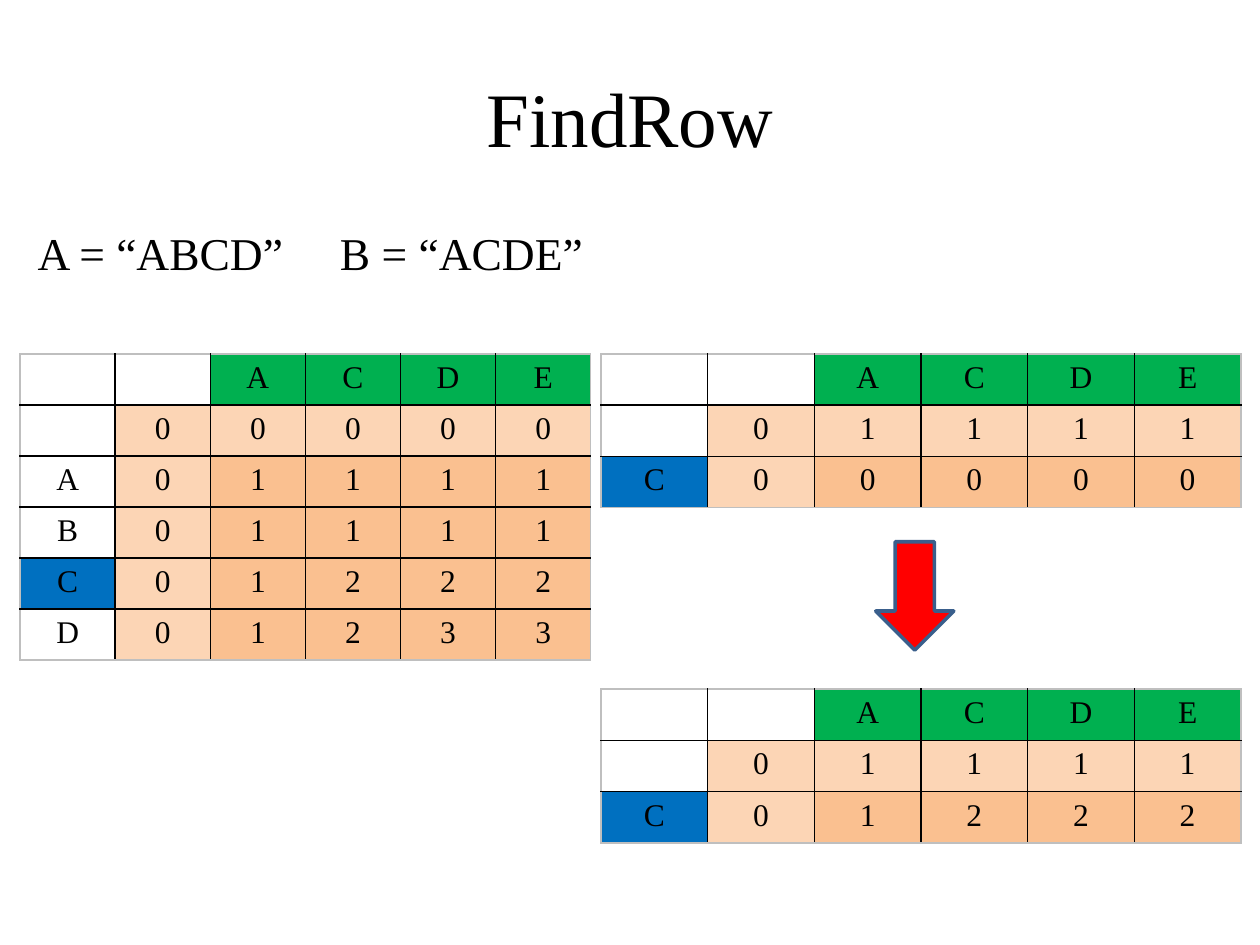
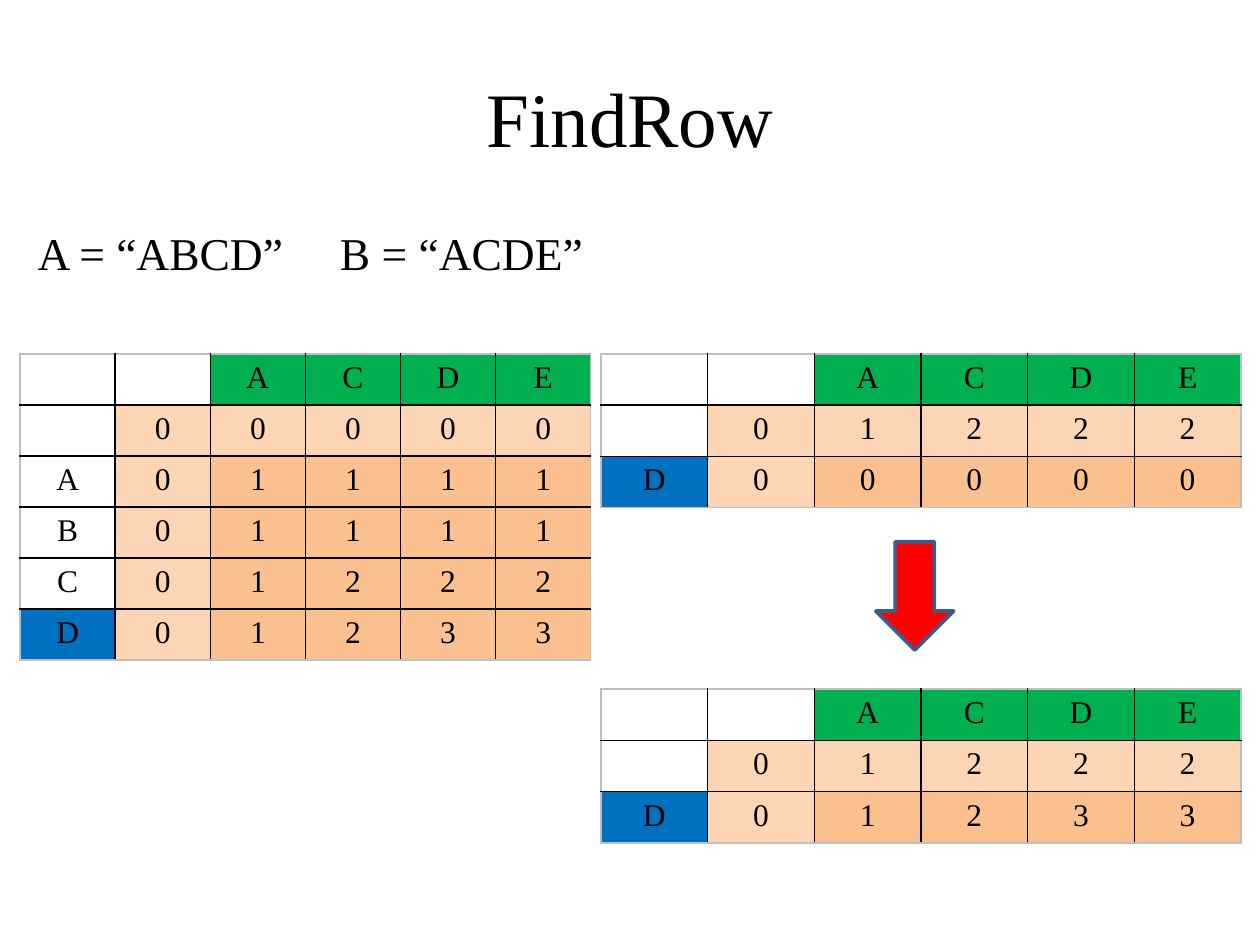
from dataclasses import dataclass

from lxml.etree import SubElement
from pptx import Presentation
from pptx.dml.color import RGBColor
from pptx.enum.shapes import MSO_SHAPE
from pptx.enum.text import MSO_ANCHOR, PP_ALIGN
from pptx.oxml.ns import qn
from pptx.util import Inches, Pt

FONT = "Times New Roman"
COLORS = {
    "text": "000000",
    "grid": "000000",
    "frame": "BFBFBF",
    "header": "00B050",
    "active": "0070C0",
    "base": "FCD5B5",
    "value": "FAC090",
    "arrow": "FF0000",
    "arrow_line": "3A5F8C",
}
WORD_A, WORD_B = "ABCD", "ACDE"


@dataclass
class Box:
    left: float
    top: float
    width: float
    height: float

    def emu(self) -> tuple:
        return tuple(Inches(v) for v in (self.left, self.top, self.width, self.height))


# Places shared by both slides
TITLE = Box(0.5, 0.3, 9, 1.25)
WORDS = Box(0.2, 1.74, 4.57, 0.54)
FULL_TABLE = Box(0.16, 2.81, 4.53, 2.43)
BEFORE_TABLE = Box(4.77, 2.81, 5.08, 1.22)
AFTER_TABLE = Box(4.77, 5.47, 5.08, 1.22)
ARROW = Box(6.95, 4.3, 0.62, 0.86)


def rgb(name: str) -> RGBColor:
    return RGBColor.from_string(COLORS[name])


def write(tf, text: str, *, size: float = 18, align=PP_ALIGN.CENTER, tab: float = 0) -> None:
    """Fill the first paragraph of a text frame."""
    p = tf.paragraphs[0]
    p.alignment = align
    if tab:
        tabs = SubElement(p._p.get_or_add_pPr(), qn("a:tabLst"))
        SubElement(tabs, qn("a:tab"), pos=str(Inches(tab)), algn="l")
    r = p.add_run()
    r.text = text
    r.font.size = Pt(size)
    r.font.name = FONT
    r.font.color.rgb = rgb("text")


def add_text(s, box: Box, text: str, *, anchor=MSO_ANCHOR.TOP, **fmt) -> None:
    tf = s.shapes.add_textbox(*box.emu()).text_frame
    tf.word_wrap = True
    tf.vertical_anchor = anchor
    write(tf, text, **fmt)


def lcs_rows(a: str, b: str) -> list[list[int]]:
    """Lengths of the longest common subsequences of all prefixes."""
    rows = [[0] * (len(b) + 1)]
    for x in a:
        above, row = rows[-1], [0]
        for j, y in enumerate(b):
            row.append(above[j] + 1 if x == y else max(above[j + 1], row[j]))
        rows.append(row)
    return rows


def fill_name(row: int, col: int, label: str, active: str) -> str | None:
    if col == 0:
        return "active" if label == active else None
    if row == 0:
        return "header" if col > 1 else None
    return "base" if row == 1 or col == 1 else "value"


def set_borders(cell, edges: dict[str, bool]) -> None:
    """Draw outer edges in the frame colour and inner edges in the grid colour."""
    tc_pr = cell._tc.get_or_add_tcPr()
    for i, (side, outer) in enumerate(edges.items()):
        ln = tc_pr.makeelement(qn(f"a:ln{side}"), {"w": str(Pt(1))})
        solid = SubElement(ln, qn("a:solidFill"))
        SubElement(solid, qn("a:srgbClr"), val=COLORS["frame" if outer else "grid"])
        tc_pr.insert(i, ln)


def add_grid(s, box: Box, labels: str, rows: list[list[int]], active: str) -> None:
    """Table with WORD_B across the top and one label per row after the base row."""
    lines = [["", "", *WORD_B]]
    lines += [[label, *map(str, row)] for label, row in zip(["", *labels], rows)]
    last_row, last_col = len(lines) - 1, len(lines[0]) - 1
    table = s.shapes.add_table(last_row + 1, last_col + 1, *box.emu()).table
    table.first_row = table.horz_banding = False
    for i, line in enumerate(lines):
        for j, text in enumerate(line):
            cell = table.cell(i, j)
            name = fill_name(i, j, text, active)
            if name:
                cell.fill.solid()
                cell.fill.fore_color.rgb = rgb(name)
            else:
                cell.fill.background()
            if text:
                write(cell.text_frame, text)
            set_borders(cell, {"L": j == 0, "R": j == last_col,
                               "T": i == 0, "B": i == last_row})


def add_arrow(s) -> None:
    sp = s.shapes.add_shape(MSO_SHAPE.DOWN_ARROW, *ARROW.emu())
    sp.shadow.inherit = False
    sp.fill.solid()
    sp.fill.fore_color.rgb = rgb("arrow")
    sp.line.color.rgb = rgb("arrow_line")
    sp.line.width = Pt(2)


def add_find_row_slide(prs, active: str) -> None:
    """Show how the row of one letter follows from the row above it."""
    s = prs.slides.add_slide(prs.slide_layouts[6])
    rows = lcs_rows(WORD_A, WORD_B)
    n = WORD_A.index(active) + 1
    above, found = rows[n - 1], rows[n]

    add_text(s, TITLE, "FindRow", size=44, anchor=MSO_ANCHOR.MIDDLE)
    add_grid(s, FULL_TABLE, WORD_A, rows, active)
    add_grid(s, BEFORE_TABLE, active, [above, [0] * len(above)], active)
    add_grid(s, AFTER_TABLE, active, [above, found], active)
    add_arrow(s)
    add_text(s, WORDS, f"A = “{WORD_A}”\tB = “{WORD_B}”",
             size=26, align=PP_ALIGN.LEFT, tab=2.4)


def main() -> None:
    prs = Presentation()
    prs.slide_width, prs.slide_height = Inches(10), Inches(7.5)
    for letter in "CD":
        add_find_row_slide(prs, letter)
    prs.save("out.pptx")


if __name__ == "__main__":
    main()
